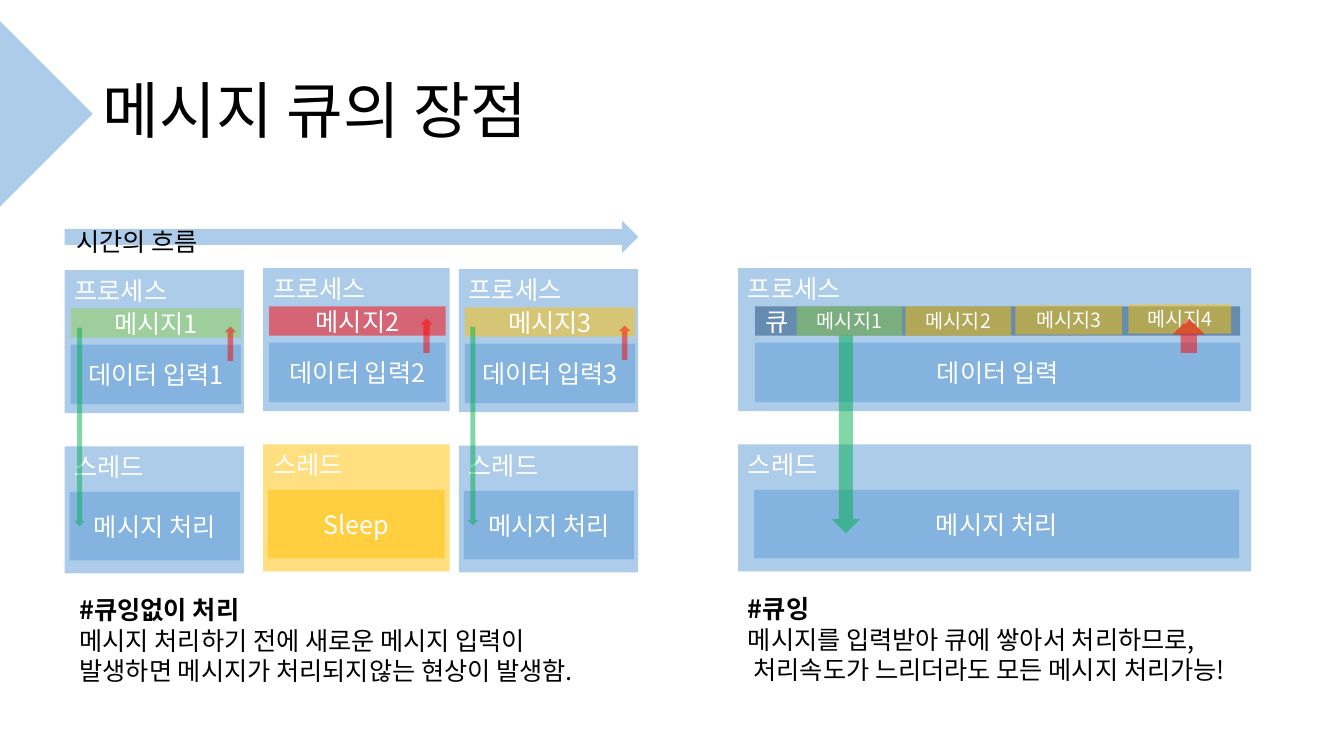
"""Build the slide on the advantages of a message queue."""
from dataclasses import dataclass
from typing import Optional

from lxml.etree import SubElement
from pptx import Presentation
from pptx.dml.color import RGBColor
from pptx.enum.shapes import MSO_SHAPE
from pptx.enum.text import MSO_ANCHOR, MSO_AUTO_SIZE, PP_ALIGN
from pptx.oxml.ns import qn
from pptx.shapes.autoshape import Shape
from pptx.shapes.shapetree import _BaseGroupShapes
from pptx.slide import Slide
from pptx.text.text import _Paragraph
from pptx.util import Emu, Pt

EMU_PER_PX = 9144


@dataclass(frozen=True)
class Theme:
    """Hold the colours, font and type sizes."""
    font: str = "Noto Sans CJK KR"
    black: str = "000000"
    white: str = "FFFFFF"
    blue: str = "5B9BD5"
    navy: str = "1F4E79"
    light_green: str = "92D050"
    green: str = "00B050"
    amber: str = "FFC000"
    red: str = "FF0000"
    alpha: str = "50000"
    title_size: int = 44
    text_size: int = 18
    small_size: int = 14


THEME = Theme()


@dataclass(frozen=True)
class Box:
    """Give a place in px."""
    left: int
    top: int
    width: int
    height: int


@dataclass(frozen=True)
class Panel:
    """Describe one process and its thread; arrows are relative to the corner."""
    left: int
    top: int
    width: int
    inset: int
    inner_width: int
    input_text: str
    strip_text: str
    strip_color: str
    up_arrow: Optional[Box] = None
    down_arrow: Optional[Box] = None
    strip_align: PP_ALIGN = PP_ALIGN.CENTER
    thread_color: str = THEME.blue
    handling_text: str = "메시지 처리"


@dataclass(frozen=True)
class QueuedMessage:
    """Describe one message waiting in the queue."""
    text: str
    box: Box
    color: str


@dataclass(frozen=True)
class Caption:
    """Describe a heading with the lines below it."""
    box: Box
    heading: str
    lines: tuple[str, ...]


COLUMNS = (
    Panel(64, 268, 178, 6, 169, "데이터 입력1", "메시지1", THEME.light_green,
          Box(159, 56, 11, 34), Box(10, 57, 10, 197)),
    Panel(261, 266, 185, 6, 175, "데이터 입력2", "메시지2", THEME.red,
          Box(156, 50, 12, 34), thread_color=THEME.amber, handling_text="Sleep"),
    Panel(455, 267, 178, 6, 169, "데이터 입력3", "메시지3", THEME.amber,
          Box(159, 56, 11, 34), Box(9, 57, 10, 197)),
)
QUEUE_PANEL = Panel(732, 266, 509, 17, 481, "데이터 입력", "큐", THEME.navy,
                    down_arrow=Box(93, 66, 28, 197), strip_align=PP_ALIGN.LEFT)
QUEUED_MESSAGES = (
    QueuedMessage("메시지1", Box(790, 304, 105, 29), THEME.light_green),
    QueuedMessage("메시지2", Box(898, 304, 105, 29), THEME.amber),
    QueuedMessage("메시지3", Box(1007, 303, 106, 29), THEME.amber),
    QueuedMessage("메시지4", Box(1119, 302, 102, 29), THEME.amber),
)
CAPTIONS = (
    Caption(Box(69, 585, 607, 101), "#큐잉없이 처리",
            ("메시지 처리하기 전에 새로운 메시지 입력이",
             "발생하면 메시지가 처리되지않는 현상이 발생함.")),
    Caption(Box(732, 584, 564, 101), "#큐잉",
            ("메시지를 입력받아 큐에 쌓아서 처리하므로,",
             " 처리속도가 느리더라도 모든 메시지 처리가능!")),
)


def px(length: int) -> Emu:
    """Turn px into EMU."""
    return Emu(length * EMU_PER_PX)


def place(box: Box) -> tuple[Emu, Emu, Emu, Emu]:
    """Turn a box into EMU."""
    return px(box.left), px(box.top), px(box.width), px(box.height)


def style_paragraph(paragraph: _Paragraph, size: int, color: str,
                    align: PP_ALIGN = PP_ALIGN.LEFT) -> None:
    """Set the font and alignment of a paragraph."""
    paragraph.alignment = align
    paragraph.font.size = Pt(size)
    paragraph.font.color.rgb = RGBColor.from_string(color)
    paragraph.font.name = THEME.font
    defaults = paragraph._p.pPr.find(qn("a:defRPr"))
    SubElement(defaults, qn("a:ea")).set("typeface", THEME.font)


def add_block(shapes: _BaseGroupShapes, kind: MSO_SHAPE, box: Box, color: str) -> Shape:
    """Add a half-transparent shape without outline."""
    shape = shapes.add_shape(kind, *place(box))
    shape.shadow.inherit = False
    shape.line.fill.background()
    shape.fill.solid()
    shape.fill.fore_color.rgb = RGBColor.from_string(color)
    solid_color = shape._element.spPr.find(f"{qn('a:solidFill')}/{qn('a:srgbClr')}")
    SubElement(solid_color, qn("a:alpha")).set("val", THEME.alpha)
    return shape


def add_label(shapes: _BaseGroupShapes, box: Box, color: str, text: str,
              align: PP_ALIGN = PP_ALIGN.CENTER, anchor: MSO_ANCHOR = MSO_ANCHOR.MIDDLE,
              size: int = THEME.text_size) -> None:
    """Add a rectangle with white text."""
    frame = add_block(shapes, MSO_SHAPE.RECTANGLE, box, color).text_frame
    frame.vertical_anchor = anchor
    frame.text = text
    style_paragraph(frame.paragraphs[0], size, THEME.white, align)


def add_panel(shapes: _BaseGroupShapes, panel: Panel) -> None:
    """Add a process, its thread and their arrows."""
    left, top, inner_left = panel.left, panel.top, panel.left + panel.inset
    add_label(shapes, Box(left, top, panel.width, 142), THEME.blue, "프로세스",
              PP_ALIGN.LEFT, MSO_ANCHOR.TOP)
    add_label(shapes, Box(inner_left, top + 74, panel.inner_width, 59),
              THEME.blue, panel.input_text)
    add_label(shapes, Box(left, top + 175, panel.width, 126), panel.thread_color,
              "스레드", PP_ALIGN.LEFT, MSO_ANCHOR.TOP)
    add_label(shapes, Box(inner_left - 1, top + 220, panel.inner_width, 68),
              panel.thread_color, panel.handling_text)
    add_label(shapes, Box(inner_left, top + 38, panel.inner_width, 29),
              panel.strip_color, panel.strip_text, panel.strip_align)
    for kind, arrow, color in ((MSO_SHAPE.UP_ARROW, panel.up_arrow, THEME.red),
                               (MSO_SHAPE.DOWN_ARROW, panel.down_arrow, THEME.green)):
        if arrow:
            box = Box(left + arrow.left, top + arrow.top, arrow.width, arrow.height)
            add_block(shapes, kind, box, color)


def add_text(slide: Slide, box: Box, heading: str, lines: tuple[str, ...] = ()) -> None:
    """Add black text, with a bold heading when lines follow it."""
    frame = slide.shapes.add_textbox(*place(box)).text_frame
    frame.word_wrap = True
    paragraph = frame.paragraphs[0]
    style_paragraph(paragraph, THEME.text_size, THEME.black)
    run = paragraph.add_run()
    run.text = heading
    if lines:
        run.font.bold = True
    for line in lines:
        paragraph.add_line_break()
        paragraph.add_run().text = line


def add_title(slide: Slide) -> None:
    """Fill and move the title placeholder."""
    title = slide.shapes.title
    title.left, title.top, title.width, title.height = place(Box(92, 40, 1150, 145))
    frame = title.text_frame
    frame.text = "메시지 큐의 장점"
    frame.auto_size = MSO_AUTO_SIZE.NONE
    frame.vertical_anchor = MSO_ANCHOR.MIDDLE
    frame.paragraphs[0].line_spacing = 0.9
    style_paragraph(frame.paragraphs[0], THEME.title_size, THEME.black)


def main() -> None:
    """Build and save the presentation."""
    presentation = Presentation()
    presentation.slide_width, presentation.slide_height = px(1333), px(750)
    slide = presentation.slides.add_slide(presentation.slide_layouts[5])
    shapes = slide.shapes
    add_title(slide)
    add_block(shapes, MSO_SHAPE.RIGHT_ARROW, Box(-1217, 16, 1309, 194), THEME.blue)
    add_panel(shapes, QUEUE_PANEL)
    for message in QUEUED_MESSAGES:
        add_label(shapes, message.box, message.color, message.text, size=THEME.small_size)
    add_block(shapes, MSO_SHAPE.UP_ARROW, Box(1163, 316, 32, 34), THEME.red)
    for column in COLUMNS:
        add_panel(shapes.add_group_shape().shapes, column)
    for caption in CAPTIONS:
        add_text(slide, caption.box, caption.heading, caption.lines)
    add_block(shapes, MSO_SHAPE.RIGHT_ARROW, Box(64, 219, 569, 32), THEME.blue)
    add_text(slide, Box(66, 220, 528, 40), "시간의 흐름")
    presentation.save("out.pptx")


if __name__ == "__main__":
    main()
